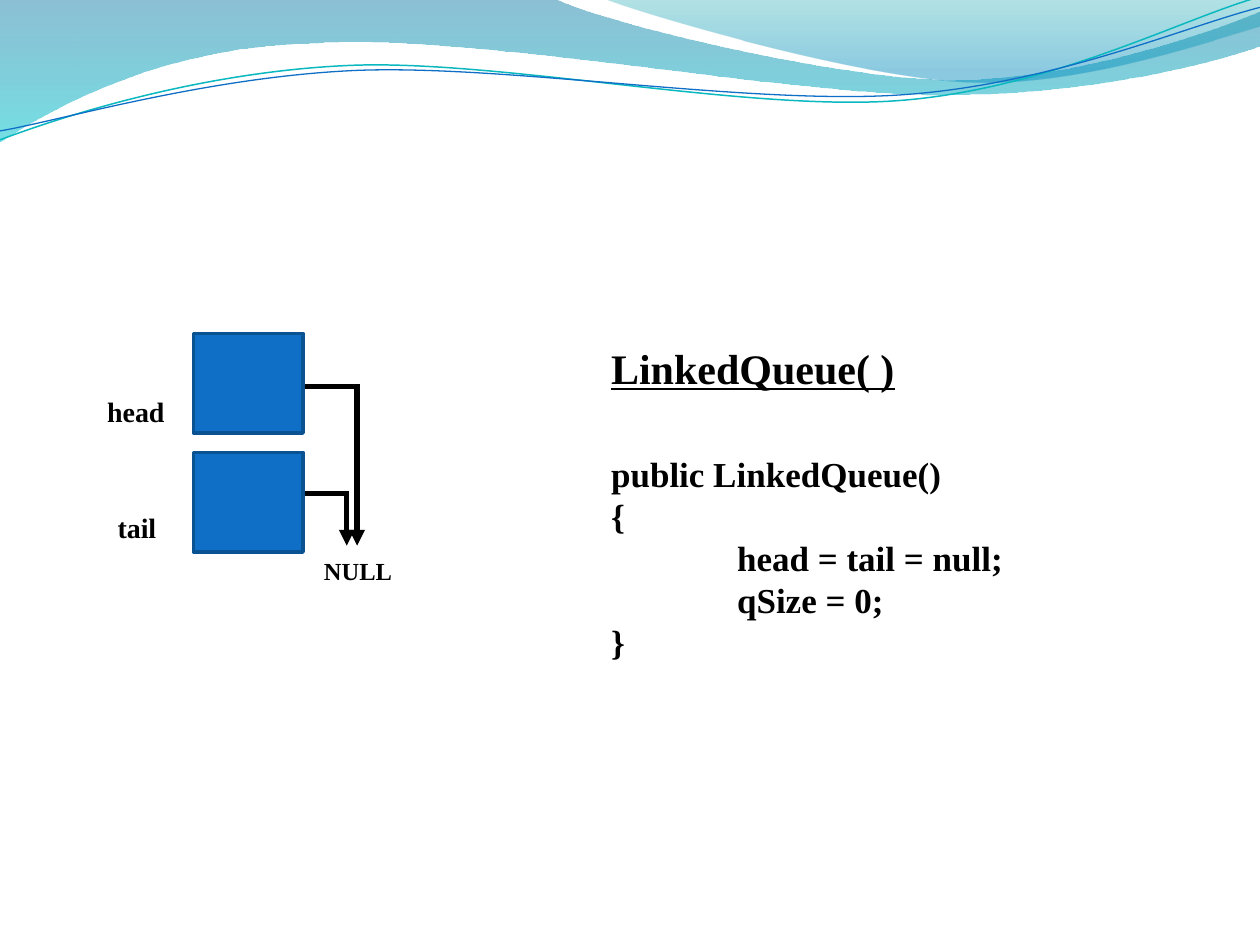
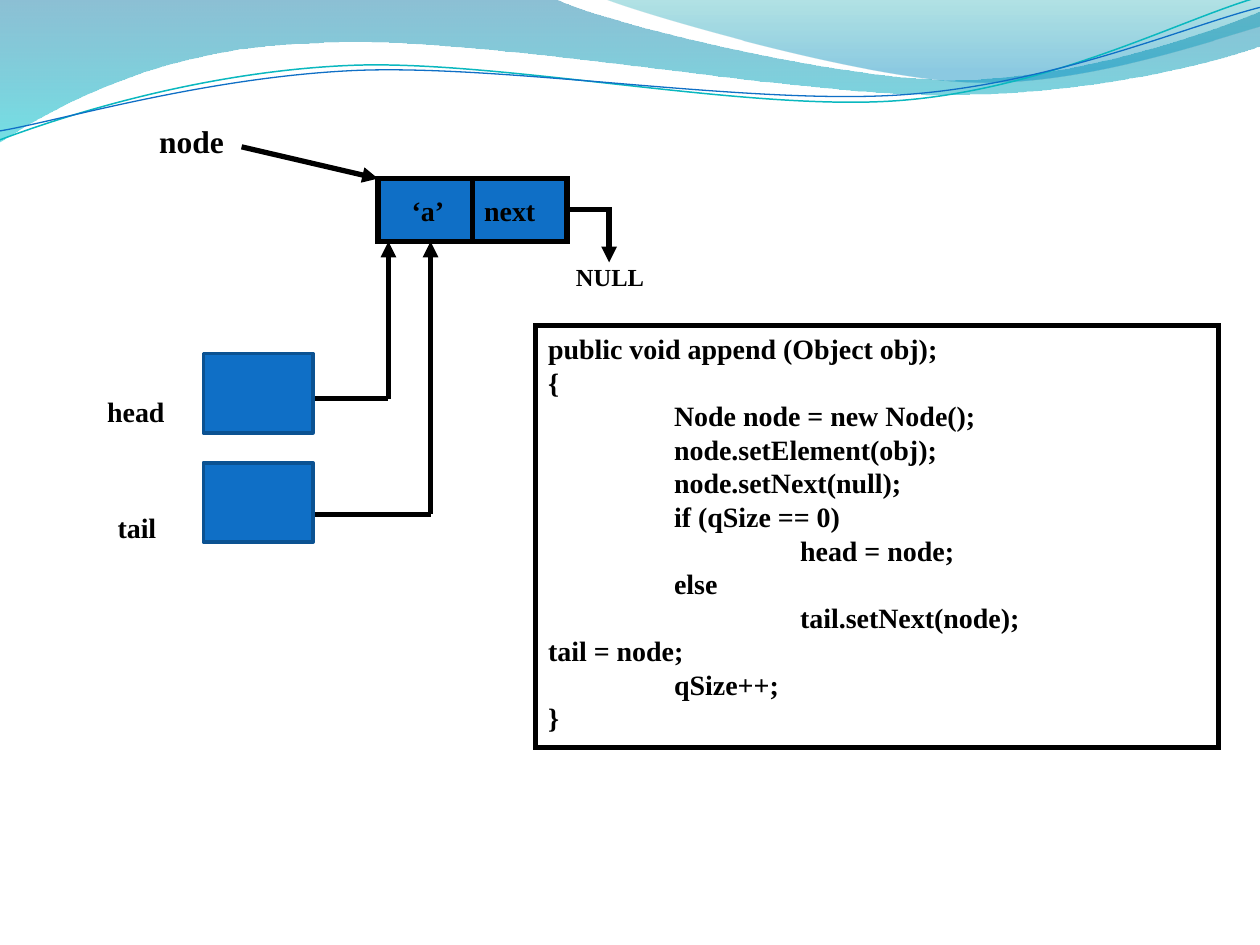
import pptx
import pptx.dml.color
import pptx.enum.shapes
import pptx.enum.text
import pptx.oxml.ns
import pptx.util
from lxml import etree

Cm = pptx.util.Cm
Pt = pptx.util.Pt
qn = pptx.oxml.ns.qn
RECTANGLE = pptx.enum.shapes.MSO_SHAPE.RECTANGLE
CONNECTOR = pptx.enum.shapes.MSO_CONNECTOR
ANCHOR = pptx.enum.text.MSO_ANCHOR

FONT = "Times New Roman"
BLACK, BLUE, DARK_BLUE = "000000", "0F6FC6", "0B5292"
LINE_HEIGHT = 1.2
CODE_TABS = (2.54, 5.08)

WAVE_BANDS = [
    {
        "start": (0, 0),
        "segments": [
            [(11.18, -0.03)],
            [(12.09, 0.43), (16.87, 1.6), (19.25, 1.6)],
            [(21.67, 1.6), (24.33, 0.66), (25.4, 0.23)],
            [(25.43, 0.91)],
            [(24.97, 1.12), (22.1, 1.93), (18.95, 1.91)],
            [(15.8, 1.91), (9.7, 0.71), (6.53, 0.86)],
            [(3.28, 0.91), (1.17, 2.11), (-0.03, 2.87)],
        ],
        "stops": [(0, "0074A1", 45), (1, "00C6CF", 55)],
    },
    {
        "start": (12.17, -0.03),
        "segments": [
            [(12.93, 0.28), (17.32, 1.57), (19.53, 1.65)],
            [(21.74, 1.75), (24.41, 0.81), (25.4, 0.53)],
            [(25.4, 0)],
        ],
        "stops": [(0, "00A1A9", 30), (0.8, "008BBF", 45)],
    },
]
WAVE_LINES = [
    {
        "start": (0, 2.82),
        "segments": [
            [(1.22, 2.36), (4.01, 1.45), (7.04, 1.32)],
            [(10.03, 1.19), (15.06, 2.26), (18.11, 2.03)],
            [(21.16, 1.8), (23.83, 0.38), (25.35, -0.05)],
        ],
        "color": "0AB8BF",
        "width": 0.85,
    },
    {
        "start": (0, 2.64),
        "segments": [
            [(1.19, 2.44), (4.17, 1.55), (7.19, 1.42)],
            [(10.24, 1.3), (15.16, 2.13), (18.21, 1.91)],
            [(21.23, 1.7), (23.9, 0.53), (25.4, 0.15)],
        ],
        "color": BLUE,
        "width": 0.75,
    },
]

POINTER_LABELS = [("head", (1.91, 7.82, 2.1, 0.94)), ("tail", (2.12, 10.16, 1.9, 0.94))]

CONSTRUCTOR_CODE = [
    "LinkedQueue( )",
    "public LinkedQueue()",
    "{",
    "\thead = tail = null;",
    "\tqSize = 0;",
    "}",
]
APPEND_CODE = [
    "public void append (Object obj);",
    "{",
    "\tNode node = new Node();",
    "\tnode.setElement(obj);",
    "\tnode.setNext(null);",
    "\tif (qSize == 0)",
    "\t\thead = node;",
    "\telse",
    "\t\ttail.setNext(node);",
    "tail = node;",
    "\tqSize++;",
    "}",
]


def color(value):
    return pptx.dml.color.RGBColor.from_string(value)


def lengths(values):
    return [Cm(value) for value in values]


def set_line(shape, value, width):
    shape.line.color.rgb = color(value)
    shape.line.width = Pt(width)
    if value == BLACK:
        miter = etree.SubElement(shape.element.spPr.find(qn("a:ln")), qn("a:miter"))
        miter.set("lim", "800000")


def add_wave(slide, wave, closed):
    points = [lengths(point) for segment in wave["segments"] for point in segment]
    builder = slide.shapes.build_freeform(*lengths(wave["start"]))
    builder.add_line_segments(points, close=closed)
    shape = builder.convert_to_shape()
    shape.shadow.inherit = False
    straight_lines = shape.element.spPr.iter(qn("a:lnTo"))
    straight_lines = iter(list(straight_lines))
    for segment in wave["segments"]:
        first, *others = [next(straight_lines) for _ in segment]
        if others:
            curve = etree.Element(qn("a:cubicBezTo"))
            first.addprevious(curve)
            for line in [first, *others]:
                curve.append(line[0])
                line.getparent().remove(line)
    return shape


def add_waves_to_master(slide):
    waves = []
    for band in WAVE_BANDS:
        shape = add_wave(slide, band, True)
        shape.line.fill.background()
        shape.fill.gradient()
        shape.fill.gradient_angle = 270
        for stop, (position, value, _) in zip(shape.fill.gradient_stops, band["stops"]):
            stop.position = position
            stop.color.rgb = color(value)
        colors = shape.element.spPr.iter(qn("a:srgbClr"))
        for element, (_, _, opacity) in zip(list(colors), band["stops"]):
            etree.SubElement(element, qn("a:alpha")).set("val", str(opacity * 1000))
        waves.append(shape)
    for line in WAVE_LINES:
        shape = add_wave(slide, line, False)
        shape.fill.background()
        set_line(shape, line["color"], line["width"])
        waves.append(shape)
    for shape in waves:
        slide.slide_layout.slide_master.shapes.element.append(shape.element)


def set_tabs(paragraph, stops):
    tabs = etree.Element(qn("a:tabLst"))
    for stop in stops:
        tab = etree.SubElement(tabs, qn("a:tab"))
        tab.set("pos", str(Cm(stop)))
        tab.set("algn", "l")
    next(paragraph.font._element.iter(qn("a:defRPr"))).addprevious(tabs)


def write_lines(shape, lines, size, stops=CODE_TABS):
    frame = shape.text_frame
    frame.word_wrap = True
    frame.vertical_anchor = ANCHOR.TOP
    for index, line in enumerate(lines):
        paragraph = frame.add_paragraph() if index else frame.paragraphs[0]
        paragraph.text = line
        paragraph.alignment = pptx.enum.text.PP_ALIGN.LEFT
        paragraph.line_spacing = Pt(size * LINE_HEIGHT)
        paragraph.font.name = FONT
        paragraph.font.size = Pt(size)
        paragraph.font.bold = True
        paragraph.font.color.rgb = color(BLACK)
    for defaults in list(shape.element.iter(qn("a:defRPr"))):
        tabs = etree.Element(qn("a:tabLst"))
        for stop in stops:
            tab = etree.SubElement(tabs, qn("a:tab"))
            tab.set("pos", str(Cm(stop)))
            tab.set("algn", "l")
        defaults.addprevious(tabs)
    return frame


def add_text(slide, box, lines, size):
    return write_lines(slide.shapes.add_textbox(*lengths(box)), lines, size)


def add_box(slide, box, fill, line, width):
    shape = slide.shapes.add_shape(RECTANGLE, *lengths(box))
    shape.shadow.inherit = False
    if fill:
        shape.fill.solid()
        shape.fill.fore_color.rgb = color(fill)
    else:
        shape.fill.background()
    set_line(shape, line, width)
    return shape


def add_line(slide, start, end, arrow=False, kind=CONNECTOR.STRAIGHT):
    connector = slide.shapes.add_connector(kind, *lengths(start + end))
    set_line(connector, BLACK, 3)
    properties = connector.element.spPr
    if arrow:
        etree.SubElement(properties.find(qn("a:ln")), qn("a:tailEnd")).set("type", "triangle")
    etree.SubElement(properties, qn("a:effectLst"))
    return connector


def add_corner_arrow(slide, start, end):
    center_x, center_y = (start[0] + end[0]) / 2, (start[1] + end[1]) / 2
    half_x, half_y = (end[0] - start[0]) / 2, (end[1] - start[1]) / 2
    connector = add_line(
        slide,
        (center_x + half_y, center_y - half_x),
        (center_x - half_y, center_y + half_x),
        True,
        CONNECTOR.ELBOW,
    )
    properties = connector.element.spPr
    properties.find(qn("a:xfrm")).set("rot", str(270 * 60000))
    guide = etree.SubElement(next(properties.iter(qn("a:avLst"))), qn("a:gd"))
    guide.set("name", "adj1")
    guide.set("fmla", "val -400")


def add_pointers(slide, left, tops, height):
    for label, box in POINTER_LABELS:
        add_text(slide, box, [label], 16)
    for top in tops:
        add_box(slide, (left, top, 2.21, height), BLUE, DARK_BLUE, 2)


def add_null(slide, left, top):
    add_text(slide, (left, top, 2.1, 0.94), ["NULL"], 14)


def build_constructor_slide(slide):
    for start, end in [((6.15, 7.81), (7.2, 11)), ((6.15, 9.95), (6.99, 11))]:
        add_corner_arrow(slide, start, end)
    add_null(slide, 6.28, 11.08)
    frame = add_text(slide, (12.07, 6.78, 9.96, 6.78), CONSTRUCTOR_CODE, 20)
    heading, signature = frame.paragraphs[:2]
    heading.font.size = Pt(24)
    heading.font.underline = True
    heading.line_spacing = Pt(24 * LINE_HEIGHT)
    signature.space_before = Pt(34)
    add_pointers(slide, 3.9, (6.72, 9.12), 2.01)


def build_append_slide(slide):
    node_top, node_bottom = 3.6, 4.87
    node = add_box(slide, (7.62, node_top, 3.81, node_bottom - node_top), BLUE, BLACK, 3)
    frame = write_lines(node, ["‘a’\tnext"], 16, (1.46,))
    frame.vertical_anchor = ANCHOR.MIDDLE
    frame.margin_left = Cm(0.68)
    add_line(slide, (9.53, node_top), (9.53, node_bottom))

    for turn_x, pointer_y in [(7.83, 8.04), (8.68, 10.37)]:
        add_line(slide, (6.15, pointer_y), (turn_x, pointer_y))
        add_line(slide, (turn_x, pointer_y), (turn_x, node_bottom), True)
    add_corner_arrow(slide, (11.43, 4.23), (12.28, 5.29))
    add_null(slide, 11.36, 5.16)

    code_box = add_box(slide, (10.8, 6.56, 13.76, 8.51), None, BLACK, 3)
    write_lines(code_box, APPEND_CODE, 16)
    add_text(slide, (2.96, 2.34, 2.97, 1.02), ["node"], 18)
    add_line(slide, (4.87, 2.96), (7.62, node_top), True)
    add_pointers(slide, 4.1, (7.13, 9.33), 1.6)


def main():
    presentation = pptx.Presentation()
    presentation.slide_width, presentation.slide_height = Cm(25.4), Cm(19.05)
    blank = presentation.slide_layouts[6]
    constructor_slide, append_slide = [presentation.slides.add_slide(blank) for _ in range(2)]
    add_waves_to_master(constructor_slide)
    build_constructor_slide(constructor_slide)
    build_append_slide(append_slide)
    presentation.save("out.pptx")


if __name__ == "__main__":
    main()
